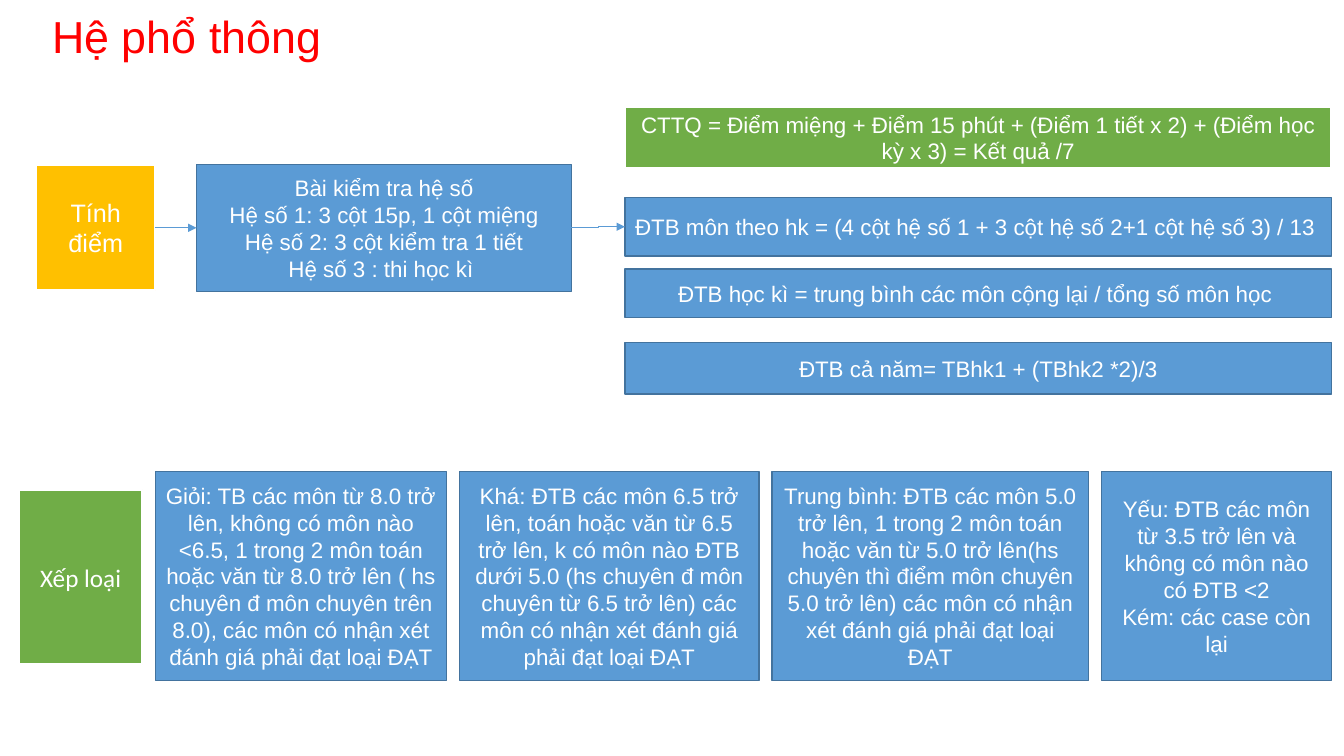
from lxml import etree
from pptx import Presentation
from pptx.dml.color import RGBColor
from pptx.enum.shapes import MSO_CONNECTOR, MSO_SHAPE
from pptx.enum.text import MSO_ANCHOR, PP_ALIGN
from pptx.oxml.ns import qn
from pptx.util import Pt

RECTANGLE = MSO_SHAPE.RECTANGLE
STRAIGHT, ELBOW = MSO_CONNECTOR.STRAIGHT, MSO_CONNECTOR.ELBOW
MIDDLE = MSO_ANCHOR.MIDDLE
CENTER, LEFT = PP_ALIGN.CENTER, PP_ALIGN.LEFT
TOP_SIDE, LEFT_SIDE, BOTTOM_SIDE, RIGHT_SIDE = range(4)

BLUE, DARK_BLUE, GREEN, AMBER = "5B9BD5", "43739E", "70AD47", "FFC000"
WHITE, RED = "FFFFFF", "FF0000"

COEFFICIENTS = [
    "Bài kiểm tra hệ số",
    "Hệ số 1: 3 cột 15p, 1 cột miệng",
    "Hệ số 2: 3 cột kiểm tra 1 tiết",
    "Hệ số 3 : thi học kì ",
]
FORMULAS = [
    (0, 43.92, GREEN, "CTTQ = Điểm miệng + Điểm 15 phút + (Điểm 1 tiết x 2) + "
                      "(Điểm học kỳ x 3) = Kết quả /7"),
    (64.8, 41.76, BLUE, "ĐTB môn theo hk = (4 cột hệ số 1 + 3 cột hệ số 2+1 cột hệ số 3) / 13 "),
    (115.92, 34.56, BLUE, "ĐTB học kì = trung bình các môn cộng lại / tổng số môn học "),
    (168.48, 36.72, BLUE, "ĐTB cả năm= TBhk1 + (TBhk2 *2)/3"),
]
GRADES = [
    (208.08, ["Giỏi: TB các môn từ 8.0 trở lên, không có môn nào <6.5, 1 trong 2 môn toán "
              "hoặc văn từ 8.0 trở lên ( hs chuyên đ môn chuyên trên 8.0), các môn có "
              "nhận xét đánh giá phải đạt loại ĐẠT"]),
    (213.84, ["Khá: ĐTB các môn 6.5 trở lên, toán hoặc văn từ 6.5 trở lên, k có môn nào ĐTB "
              "dưới 5.0 (hs chuyên đ môn chuyên từ 6.5 trở lên) các môn có nhận xét "
              "đánh giá phải đạt loại ĐẠT"]),
    (226.08, ["Trung bình: ĐTB các môn 5.0 trở lên, 1 trong 2 môn toán hoặc văn từ 5.0 "
              "trở lên(hs chuyên thì điểm môn chuyên 5.0 trở lên) các môn có nhận xét "
              "đánh giá phải đạt loại ĐẠT"]),
    (164.16, ["Yếu: ĐTB các môn từ 3.5 trở lên và không có môn nào có ĐTB <2",
              "Kém: các case còn lại"]),
]


def color(hex_string):
    """Turn a hex string into a colour."""
    return RGBColor.from_string(hex_string)


def write(frame, lines, size, font, hex_color, align):
    """Fill a text frame with one paragraph per line."""
    frame.word_wrap = True
    frame.vertical_anchor = MIDDLE
    for index, line in enumerate(lines):
        paragraph = frame.paragraphs[0] if index == 0 else frame.add_paragraph()
        paragraph.alignment = align
        run = paragraph.add_run()
        run.text = line
        run.font.size = Pt(size)
        run.font.name = font
        run.font.color.rgb = color(hex_color)


def add_card(slide, box, lines, fill=BLUE, size=16, font="Arial"):
    """Draw a filled rectangle with centred white text."""
    card = slide.shapes.add_shape(RECTANGLE, *map(Pt, box))
    card.shadow.inherit = False
    card.fill.solid()
    card.fill.fore_color.rgb = color(fill)
    card.line.color.rgb = color(DARK_BLUE if fill == BLUE else WHITE)
    card.line.width = Pt(1 if fill == BLUE else 1.5)
    write(card.text_frame, lines, size, font, WHITE, CENTER)
    return card


def add_arrow(slide, kind, source, target):
    """Join the right side of one card to the left side of the next."""
    arrow = slide.shapes.add_connector(kind, 0, 0, 0, 0)
    arrow.begin_connect(source, RIGHT_SIDE)
    arrow.end_connect(target, LEFT_SIDE)
    arrow.line.color.rgb = color(BLUE)
    arrow.line.width = Pt(0.5)
    etree.SubElement(arrow.line._get_or_add_ln(), qn("a:tailEnd"), type="triangle")
    etree.SubElement(arrow._element.spPr, qn("a:effectLst"))


def add_heading(slide, box):
    """Place the slide heading."""
    heading = slide.shapes.add_textbox(*map(Pt, box))
    write(heading.text_frame, ["Hệ phổ thông"], 32, "Arial", RED, LEFT)
    heading.text_frame.paragraphs[0].line_spacing = 0.9


def add_scoring(slide, box):
    """Draw the scoring flow from label to coefficients to formulas."""
    left, top, width, _ = box
    label = add_card(slide, (left, top + 41.76, 84.96, 89.28), ["Tính điểm"], AMBER, 18)
    coefficients = add_card(slide, (left + 114.48, top + 41.04, 267.84, 90.72), COEFFICIENTS)
    formula_left = left + 420.48
    formulas = [
        add_card(slide, (formula_left, top + offset, left + width - formula_left, height),
                 [formula], fill)
        for offset, height, fill, formula in FORMULAS
    ]
    add_arrow(slide, STRAIGHT, label, coefficients)
    add_arrow(slide, ELBOW, coefficients, formulas[1])


def add_grading(slide, box):
    """Draw the grading label and its row of grade cards."""
    left, top, _, height = box
    add_card(slide, (left, top + 12.96, 87.84, 124.56), ["Xếp loại"], GREEN, 18, "Calibri")
    grade_left, gap = left + 97.2, 9.36
    for width, criteria in GRADES:
        add_card(slide, (grade_left, top, width, height), criteria)
        grade_left += width + gap


def main():
    """Build and save the slide."""
    presentation = Presentation()
    presentation.slide_width, presentation.slide_height = Pt(960), Pt(540)
    slide = presentation.slides.add_slide(presentation.slide_layouts[6])
    add_heading(slide, (30.24, 11.52, 221.04, 33.12))
    add_scoring(slide, (25.92, 76.32, 925.2, 205.2))
    add_grading(slide, (13.68, 336.96, 937.44, 149.04))
    presentation.save("out.pptx")


if __name__ == "__main__":
    main()
